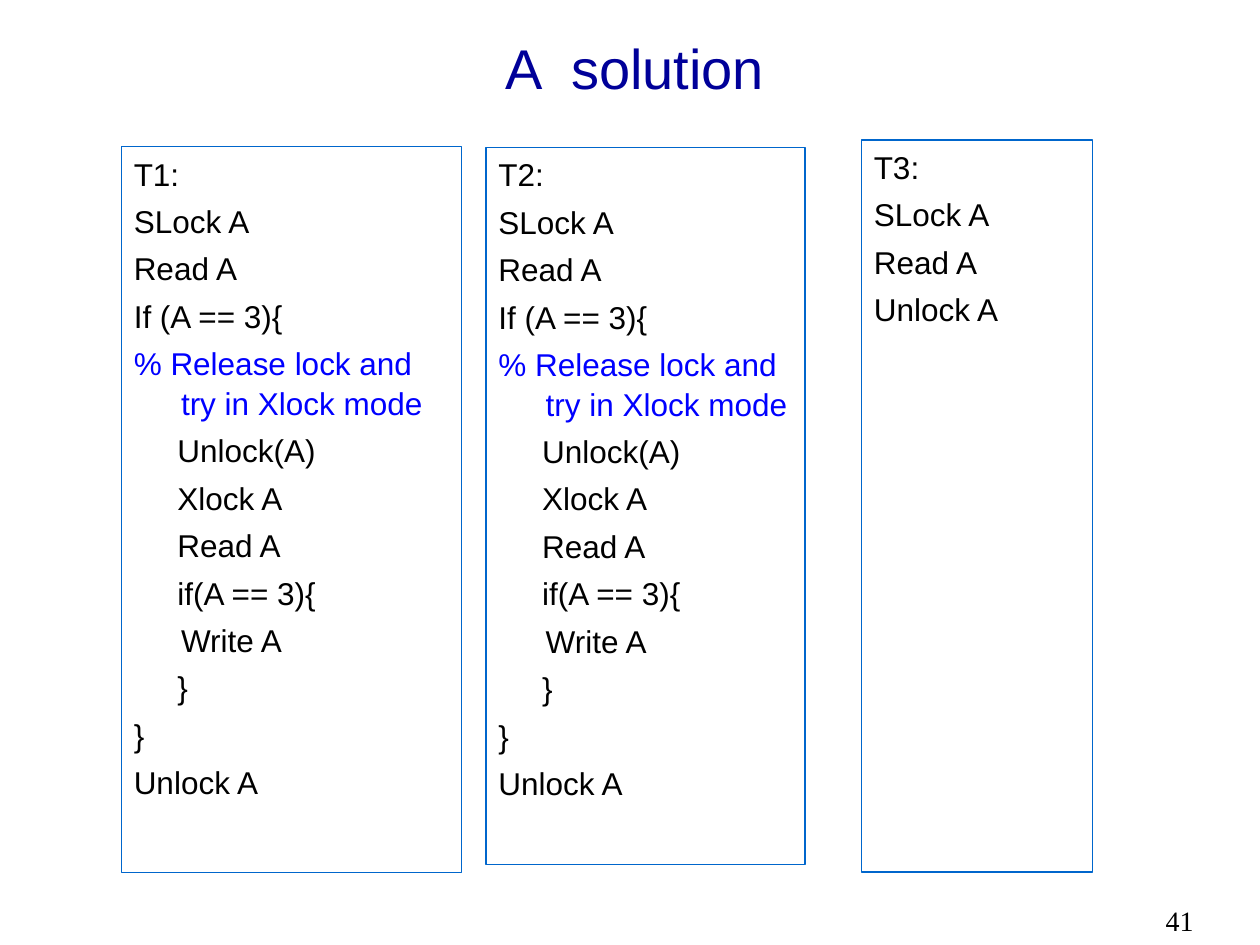
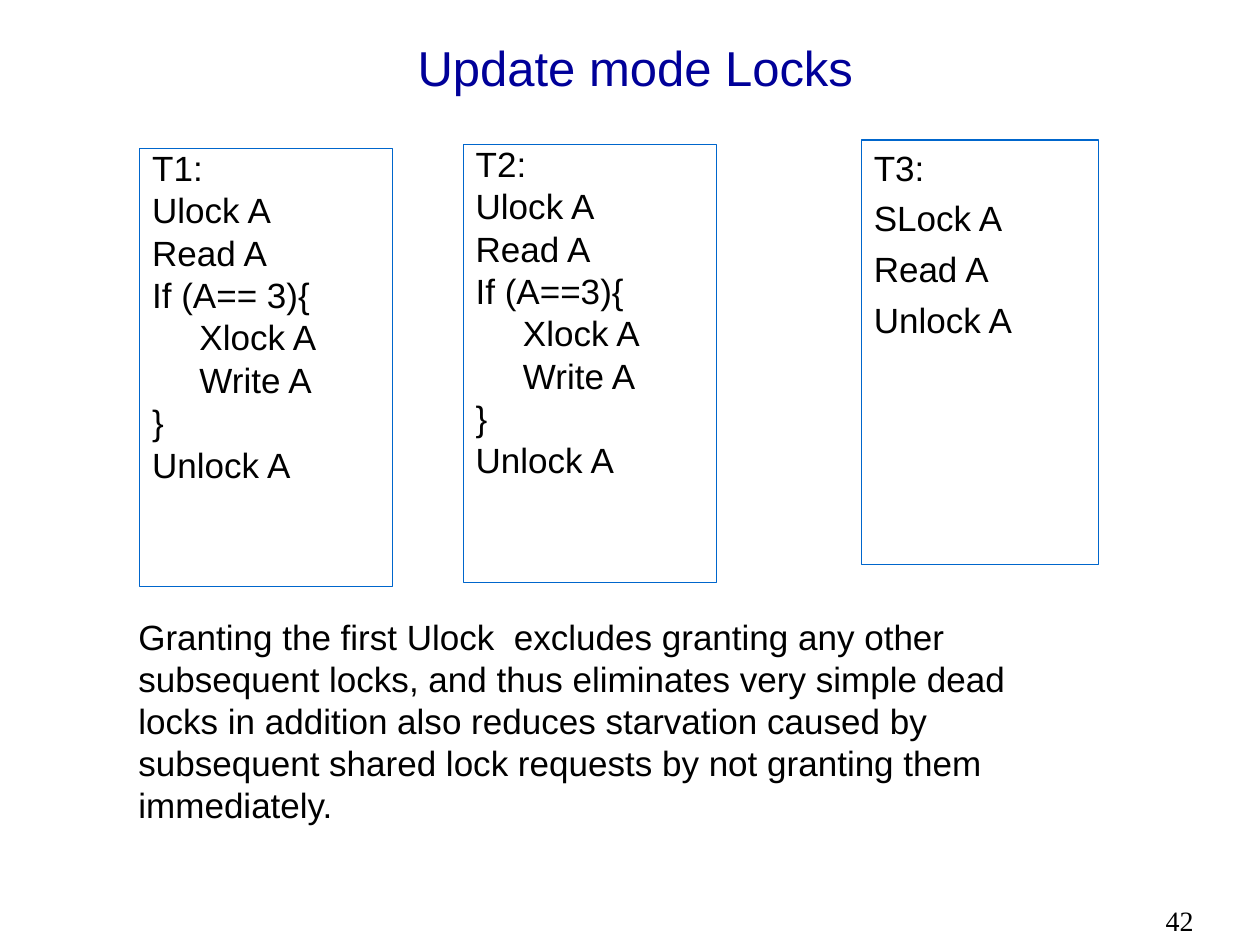
"""Build two slides on lock modes and deadlock."""
from lxml import etree
from pptx import Presentation
from pptx.dml.color import RGBColor
from pptx.enum.shapes import MSO_SHAPE
from pptx.enum.text import MSO_ANCHOR, MSO_AUTO_SIZE, PP_ALIGN
from pptx.oxml.ns import qn
from pptx.util import Pt

RECT = MSO_SHAPE.RECTANGLE
TOP, MIDDLE = MSO_ANCHOR.TOP, MSO_ANCHOR.MIDDLE
FIXED = MSO_AUTO_SIZE.NONE
LEFT, CENTER = PP_ALIGN.LEFT, PP_ALIGN.CENTER
BLACK = RGBColor(0, 0, 0)
NAVY = RGBColor(0, 0, 0x99)
BLUE = RGBColor(0, 0, 0xFF)
EDGE = RGBColor(0, 0x66, 0xCC)
SANS, SERIF = "Arial", "Times New Roman"
HANG = 27

RETRY = [
    "SLock A",
    "Read A",
    "If (A == 3){",
    "% Release lock and try in Xlock mode",
    "     Unlock(A)",
    "     Xlock A",
    "     Read A",
    "     if(A == 3){",
    "\tWrite A",
    "     }",
    "}",
    "Unlock A",
]
SHARED = ["T3:", "SLock A", "Read A", "Unlock A"]
GRANT = (
    "Granting the first Ulock  excludes granting any other subsequent locks, "
    "and thus eliminates very simple dead locks in addition also reduces "
    "starvation caused by subsequent shared lock requests by not granting "
    "them immediately."
)


def update(name, test):
    """Return the lines of a transaction that takes an update lock."""
    return [name, "Ulock A", "Read A", test, "\tXlock A", "\tWrite A", "}", "Unlock A"]


class Deck:
    """Hold the shared style and the current slide."""

    def __init__(self, first):
        """Start a deck whose first page bears the given number."""
        self.show = Presentation()
        self.show.slide_width, self.show.slide_height = Pt(720), Pt(540)
        self.page = first
        self.slide = None

    def place(self, shape, box):
        """Move a shape to its box."""
        shape.left, shape.top, shape.width, shape.height = map(Pt, box)

    def frame(self, shape, anchor=TOP):
        """Give a shape the shared text margins."""
        frame = shape.text_frame
        frame.word_wrap = True
        frame.auto_size = FIXED
        frame.vertical_anchor = anchor
        frame.margin_left = frame.margin_right = Pt(7.2)
        frame.margin_top = frame.margin_bottom = Pt(3.6)
        return frame

    def say(self, para, text, size, color=BLACK, font=SANS, align=LEFT):
        """Add one styled run to a paragraph."""
        para.alignment = align
        run = para.add_run()
        run.text = text
        run.font.size = Pt(size)
        run.font.name = font
        run.font.color.rgb = color

    def start(self, title, size):
        """Open a slide with its title and page number."""
        self.slide = self.show.slides.add_slide(self.show.slide_layouts[1])
        head = self.slide.shapes.title
        self.place(head, (57, 13.5, 612, 50))
        para = self.frame(head, MIDDLE).paragraphs[0]
        self.say(para, title, size, NAVY, align=CENTER)
        self.note(str(self.page), (659, 513, 61, 27), 16, SERIF)
        self.page += 1

    def note(self, text, box, size, font=SANS):
        """Add a plain text box."""
        shape = self.slide.shapes.add_textbox(*map(Pt, box))
        self.say(self.frame(shape).paragraphs[0], text, size, font=font)

    def body(self, lines, box, size, gap, lead):
        """Fill the body placeholder with a framed listing."""
        shape = self.slide.placeholders[1]
        self.place(shape, box)
        self.code(shape, lines, size, gap, lead)

    def panel(self, lines, box, size, gap, lead):
        """Add a framed listing."""
        shape = self.slide.shapes.add_shape(RECT, *map(Pt, box))
        shape.shadow.inherit = False
        self.code(shape, lines, size, gap, lead)

    def code(self, shape, lines, size, gap, lead):
        """Outline a shape and set its lines with a hanging indent."""
        shape.fill.background()
        shape.line.color.rgb = EDGE
        shape.line.width = Pt(0.75)
        frame = self.frame(shape)
        for i, line in enumerate(lines):
            para = frame.add_paragraph() if i else frame.paragraphs[0]
            props = para._p.get_or_add_pPr()
            props.set("marL", str(Pt(HANG)))
            props.set("indent", str(-Pt(HANG)))
            etree.SubElement(props, qn("a:buNone"))
            para.line_spacing = lead
            para.space_before = Pt(gap if i else 0)
            self.say(para, line, size, BLUE if line.startswith("%") else BLACK)


def main():
    """Build and save the deck."""
    deck = Deck(41)

    deck.start("A  solution", 32)
    style = 18, 4.5, Pt(22.6)
    deck.body(["T1:"] + RETRY, (69.25, 83.75, 194.5, 415), *style)
    deck.panel(SHARED, (492.25, 80, 132, 418.25), *style)
    deck.panel(["T2:"] + RETRY, (277.75, 84.25, 182.25, 409.75), *style)

    deck.start("Update mode Locks", 28)
    style = 20, 5, 0.8
    deck.body(update("T1:", "If (A== 3){"), (79.75, 84.75, 144.75, 250.5), *style)
    deck.panel(SHARED, (492.25, 80, 135.5, 242.5), 20, 5, 1.0)
    deck.panel(update("T2:", "If (A==3){"), (264.75, 82.5, 144.75, 250.5), *style)
    deck.note(GRANT, (72, 348, 515.5, 127.5), 20)

    deck.show.save("out.pptx")


if __name__ == "__main__":
    main()
